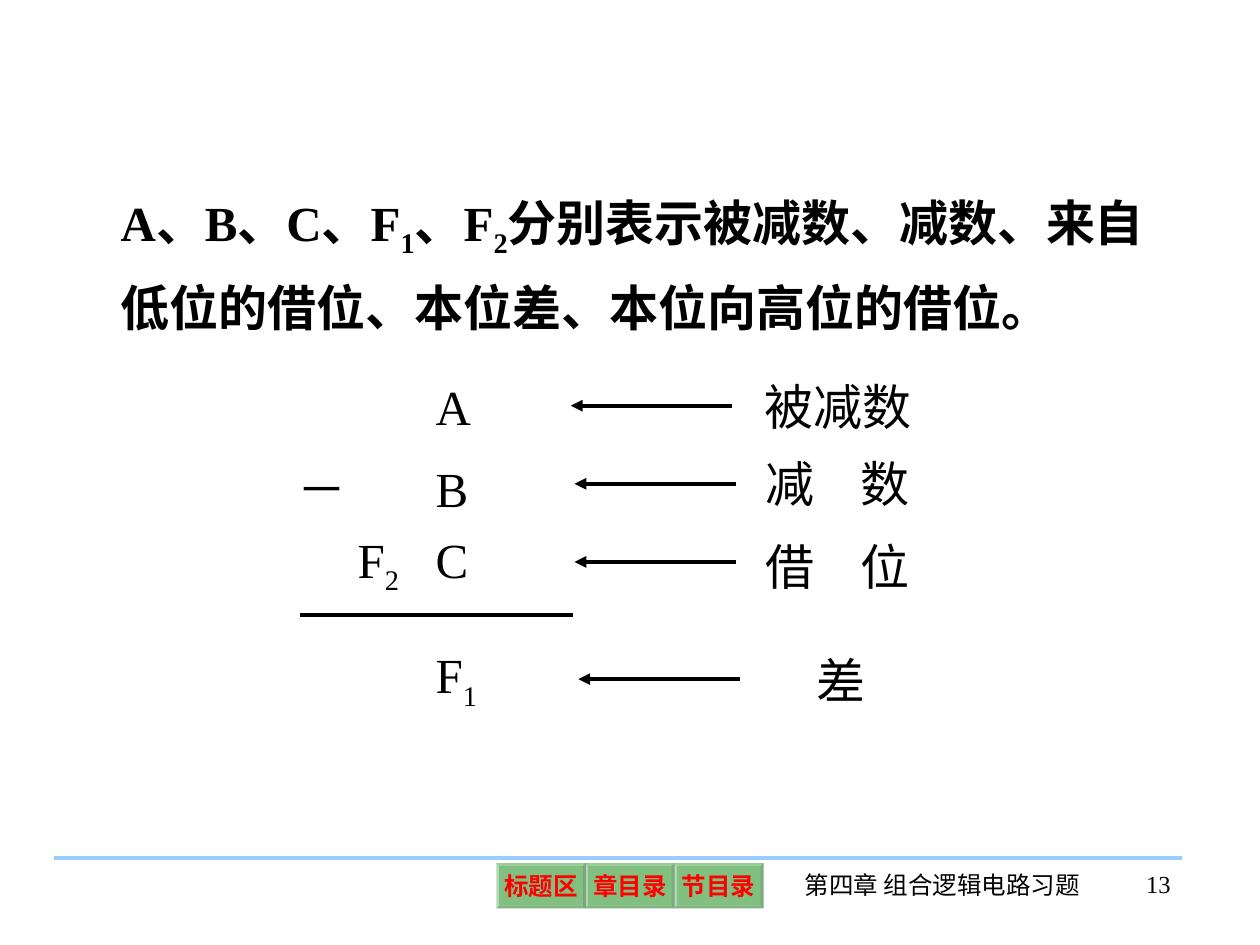
import pptx
import pptx.dml.color
import pptx.enum.shapes
import pptx.enum.text
import pptx.oxml.ns
import pptx.util
from lxml import etree
from collections import namedtuple

Box = namedtuple("Box", "left top width height")
ALIGN = pptx.enum.text.PP_ALIGN
COLUMNS, ROWS = 100, 75
FONT = "Times New Roman"

deck = pptx.Presentation()
deck.slide_width = pptx.util.Inches(10)
deck.slide_height = pptx.util.Inches(7.5)


def across(columns):
    return round(deck.slide_width * columns / COLUMNS)


def down(rows):
    return round(deck.slide_height * rows / ROWS)


def color(value):
    return pptx.dml.color.RGBColor.from_string(value)


def inside(region, left, top, width, height):
    return Box(region.left + left, region.top + top, width, height)


def lengths(box):
    return across(box.left), down(box.top), across(box.width), down(box.height)


def write(para, parts, size, ink="000000", bold=False, align=ALIGN.LEFT):
    para.alignment = align
    para.font.name = FONT
    para.font.size = pptx.util.Pt(size)
    para.font.bold = bold
    para.font.color.rgb = color(ink)
    for index, part in enumerate(parts):
        span = para.add_run()
        span.text = part
        if index % 2:
            span._r.get_or_add_rPr().set("baseline", "-25000")


def add_text(page, box, parts, size=28, bold=False, align=ALIGN.LEFT,
             spacing=None, wrap=True, tab=None):
    frame = page.shapes.add_textbox(*lengths(box)).text_frame
    frame.word_wrap = wrap
    para = frame.paragraphs[0]
    if spacing:
        para.line_spacing = spacing
    if tab:
        stops = etree.SubElement(para._p.get_or_add_pPr(), pptx.oxml.ns.qn("a:tabLst"))
        etree.SubElement(stops, pptx.oxml.ns.qn("a:tab"), pos=str(across(tab)), algn="l")
    write(para, parts, size, bold=bold, align=align)


def add_line(page, start, end, ink="000000", arrow=False):
    line = page.shapes.add_connector(
        pptx.enum.shapes.MSO_CONNECTOR.STRAIGHT,
        across(start[0]), down(start[1]), across(end[0]), down(end[1]))
    line.line.color.rgb = color(ink)
    line.line.width = pptx.util.Pt(2.25)
    if arrow:
        outline = line.line._get_or_add_ln()
        etree.SubElement(outline, pptx.oxml.ns.qn("a:tailEnd"), type="triangle")
    etree.SubElement(line._element.spPr, pptx.oxml.ns.qn("a:effectLst"))


def add_button(page, box, label):
    button = page.shapes.add_shape(pptx.enum.shapes.MSO_SHAPE.BEVEL, *lengths(box))
    button.adjustments[0] = 0.06
    button.shadow.inherit = False
    button.fill.solid()
    button.fill.fore_color.rgb = color("008000")
    fill = button._element.spPr.find(pptx.oxml.ns.qn("a:solidFill"))
    etree.SubElement(fill[0], pptx.oxml.ns.qn("a:alpha"), val="49000")
    button.line.fill.background()
    frame = button.text_frame
    frame.word_wrap = False
    frame.vertical_anchor = pptx.enum.text.MSO_ANCHOR.MIDDLE
    frame.margin_left = frame.margin_right = pptx.util.Inches(0.04)
    frame.margin_top = frame.margin_bottom = pptx.util.Inches(0.04)
    write(frame.paragraphs[0], [label], 14, "FF0000", True, ALIGN.CENTER)


def add_statement(page, region):
    parts = ["A、B、C、F", "1", "、F", "2",
             "分别表示被减数、减数、来自低位的借位、本位差、本位向高位的借位。"]
    add_text(page, region, parts, bold=True, spacing=1.3)


def add_subtraction(page, region):
    terms = [
        (["A"], 0, 22.7, 2.8, "被减数", 37.1, 0),
        (["B"], 6.5, 23, 9, "减\t数", 37.2, 6.1),
        (["C"], 12.1, 23, 15.2, "借\t位", 37.2, 12.7),
        (["F", "1"], 21.3, 23.3, 24.5, "差", 41.2, 21.7),
    ]
    for symbol, symbol_top, tip, middle, label, label_left, label_top in terms:
        add_text(page, inside(region, 11, symbol_top, 8.7, 5.7), symbol)
        add_text(page, inside(region, label_left, label_top, 15.8, 5.7), [label], tab=7.5)
        height = region.top + middle
        add_line(page, (region.left + tip + 12.8, height),
                 (region.left + tip, height), arrow=True)
    add_text(page, inside(region, 4.8, 12.1, 7, 6.3), ["F", "2"])
    add_text(page, inside(region, 0, 6.5, 5.9, 5.7), ["－"], align=ALIGN.CENTER, wrap=False)
    rule = region.top + 19.4
    add_line(page, (region.left + 1.2, rule), (region.left + 22.9, rule))


def add_footer(page, region):
    add_line(page, (region.left, region.top),
             (region.left + region.width, region.top), "99CCFF")
    for index, label in enumerate(["标题区", "章目录", "节目录"]):
        add_button(page, inside(region, 35.1 + 7.05 * index, 0.4, 7.1, 3.6), label)
    add_text(page, inside(region, 57.2, 0.5, 26.6, 5), ["第四章 组合逻辑电路习题"],
             size=14, align=ALIGN.CENTER)
    add_text(page, inside(region, 81, 0.4, 8.6, 5), ["13"], size=14, align=ALIGN.RIGHT)


def main():
    page = deck.slides.add_slide(deck.slide_layouts[6])
    add_statement(page, Box(8.6, 13.2, 83.7, 20.1))
    add_subtraction(page, Box(22.6, 29.4, 53.5, 27.6))
    add_footer(page, Box(4.3, 68.1, 89.5, 5.5))
    deck.save("out.pptx")


if __name__ == "__main__":
    main()
